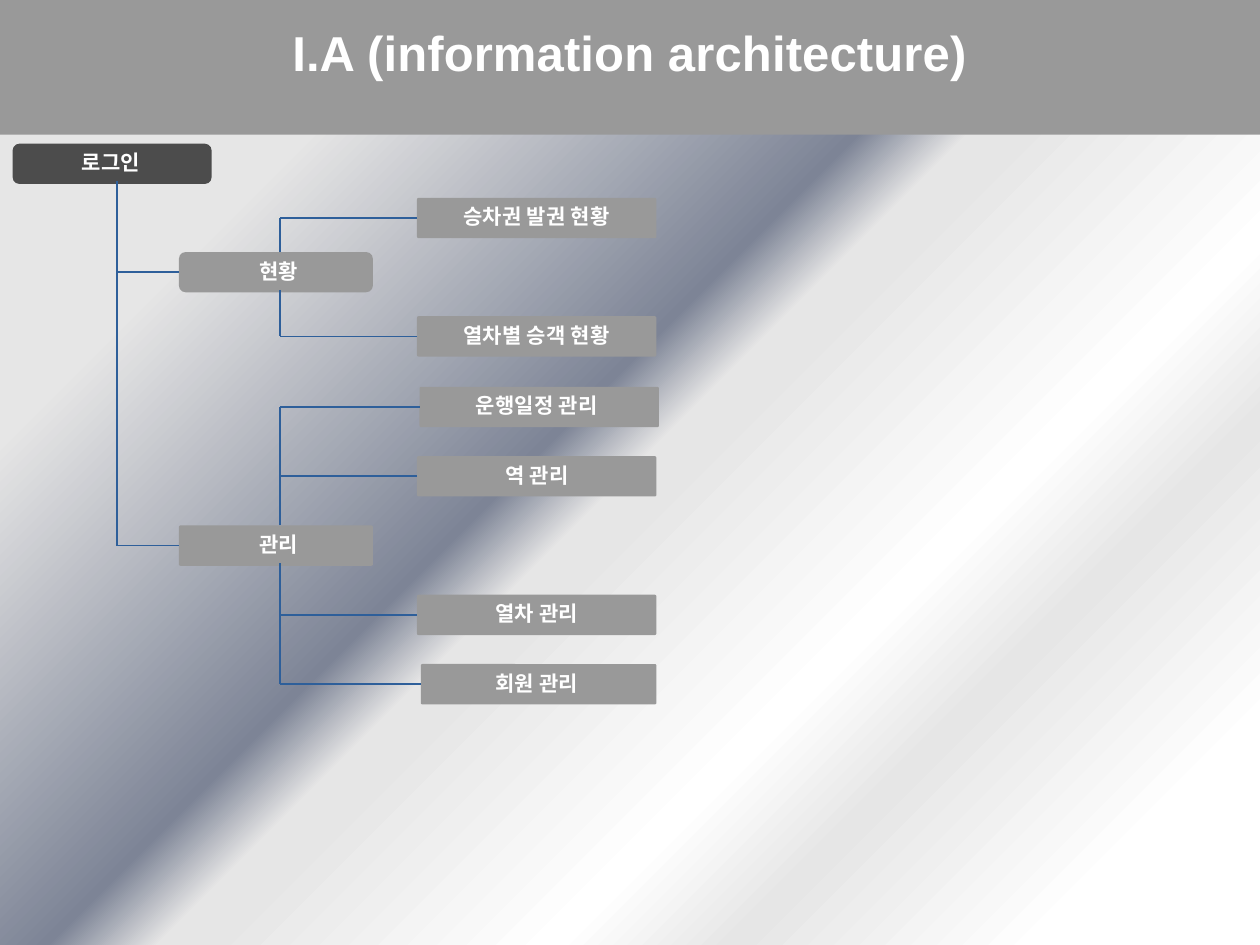
import pptx
import pptx.util
import pptx.oxml
import pptx.oxml.ns
import pptx.dml.color
import pptx.enum.shapes
import pptx.enum.text

WIDE, HIGH = 10, 7.5
COLS = 100                     # square grid: 100 columns by 75 rows
CELL = WIDE / COLS
GREY, DARK, WHITE, BLUE = "999999", "4C4C4C", "FFFFFF", "2E5F9A"
LATIN, KOREAN = "Arial", "Noto Sans CJK KR"
STOPS = [(6, "FFFFFF"), (10, "FFFFFF"), (24, "E6E6E6"), (32, "FFFFFF"),
         (48, "E6E6E6"), (50, "E6E6E6"), (55, "7D8496"), (80, "E6E6E6")]


def color(code):
    return pptx.dml.color.RGBColor.from_string(code)


def grid(*cells):
    return [pptx.util.Inches(round(cell * CELL, 3)) for cell in cells]


def write(shape, text, size=12, font=KOREAN, fill=WHITE, bold=True):
    frame = shape.text_frame
    frame.word_wrap = True
    frame.vertical_anchor = pptx.enum.text.MSO_ANCHOR.TOP
    para = frame.paragraphs[0]
    para.alignment = pptx.enum.text.PP_ALIGN.CENTER
    run = para.add_run()
    run.text = text
    run.font.size = pptx.util.Pt(size)
    run.font.bold = bold
    run.font.color.rgb = color(fill)
    run.font.name = font
    props = run.font._element
    props.set("spc", "10")
    east = pptx.oxml.parse_xml(
        f'<a:ea {pptx.oxml.ns.nsdecls("a")} typeface="{font}"/>')
    props.find(pptx.oxml.ns.qn("a:latin")).addnext(east)


def block(slide, x, y, w, h, fill=GREY, curve=None):
    kinds = pptx.enum.shapes.MSO_SHAPE
    kind = kinds.RECTANGLE if curve is None else kinds.ROUNDED_RECTANGLE
    shape = slide.shapes.add_shape(kind, *grid(x, y, w, h))
    if curve is not None:
        shape.adjustments[0] = curve
    shape.shadow.inherit = False
    shape.fill.solid()
    shape.fill.fore_color.rgb = color(fill)
    shape.line.fill.background()
    return shape


def line(slide, *ends):
    wire = slide.shapes.add_connector(
        pptx.enum.shapes.MSO_CONNECTOR.STRAIGHT, *grid(*ends))
    wire.line.color.rgb = color(BLUE)
    wire.line.width = pptx.util.Pt(1)
    wire._element.spPr.append(pptx.oxml.parse_xml(
        f'<a:effectLst {pptx.oxml.ns.nsdecls("a")}/>'))


def node(slide, text, x, y, w, mid, span, fill=GREY, curve=0.04):
    """A bar with its label centred on column mid."""
    block(slide, x, y, w, 3.2, fill, curve)
    label = slide.shapes.add_textbox(*grid(mid - span / 2, y, span, 3))
    write(label, text)


def backdrop(slide):
    stops = "".join(f'<a:gs pos="{pos * 1000}"><a:srgbClr val="{code}"/></a:gs>'
                    for pos, code in STOPS)
    slide.element.cSld.insert(0, pptx.oxml.parse_xml(
        f'<p:bg {pptx.oxml.ns.nsdecls("p", "a")}><p:bgPr>'
        f'<a:gradFill rotWithShape="1"><a:gsLst>{stops}</a:gsLst>'
        '<a:path path="circle"><a:fillToRect l="100000" t="100000"/></a:path>'
        '</a:gradFill><a:effectLst/></p:bgPr></p:bg>'))


def header(slide, box, text):
    x, y, w, h = box
    title = slide.shapes.title
    bar = block(slide, x, y, w, h)
    title._element.addprevious(bar._element)     # bar goes behind the title
    span = w * 0.606
    title.left, title.top, title.width, title.height = grid(
        x + (w - span) / 2, y + 1.3, span, 5.7)
    write(title, text, size=28, font=LATIN)


def tree(slide, box, root, groups):
    left, top, _, _ = box
    trunk, stem = left + 9.3, left + 22.2
    x2, x3 = left + 14.2, left + 33.1

    # Root
    y = top + 0.7
    node(slide, root, left + 1, y, 15.8, left + 8.8, 10, DARK, 0.17)
    line(slide, trunk, y + 3, trunk, top + groups[-1][1] + 1.6)

    for text, row, curve, leaves in groups:
        # Branch
        y = top + row
        node(slide, text, x2, y, 15.4, left + 22.1, 11.8, curve=curve)
        line(slide, x2, y + 1.6, trunk, y + 1.6)

        # Leaves
        rows = [top + leaf[1] + 1.6 for leaf in leaves]
        line(slide, stem, y, stem, min(rows))
        line(slide, stem, y + 3, stem, max(rows))
        for (name, _, shift, w, span), mid in zip(leaves, rows):
            node(slide, name, x3 + shift, mid - 1.6, w, left + 42.6, span)
            line(slide, x3 + shift, mid, stem, mid)


def main():
    deck = pptx.Presentation()
    deck.slide_width = pptx.util.Inches(WIDE)
    deck.slide_height = pptx.util.Inches(HIGH)
    slide = deck.slides.add_slide(deck.slide_layouts[5])
    backdrop(slide)
    head = 10.7
    header(slide, (0, 0, COLS, head), "I.A (information architecture)")

    # Leaf: text, row, shift, width, label width
    first, step = 20, 5.5
    groups = [
        ("현황", 9.3, 0.17, [
            ("승차권 발권 현황", 5, 0, 19, 14.6),
            ("열차별 승객 현황", 14.4, 0, 19, 14.6)]),
        ("관리", first + 2 * step, 0.04, [
            ("운행일정 관리", first, 0.2, 19, 13),
            ("역 관리", first + step, 0, 19, 11.8),
            ("열차 관리", first + 3 * step, 0, 19, 11.8),
            ("회원 관리", first + 4 * step, 0.3, 18.7, 11.8)]),
    ]
    tree(slide, (0, head, COLS, HIGH / CELL - head), "로그인", groups)
    deck.save("out.pptx")


if __name__ == "__main__":
    main()
